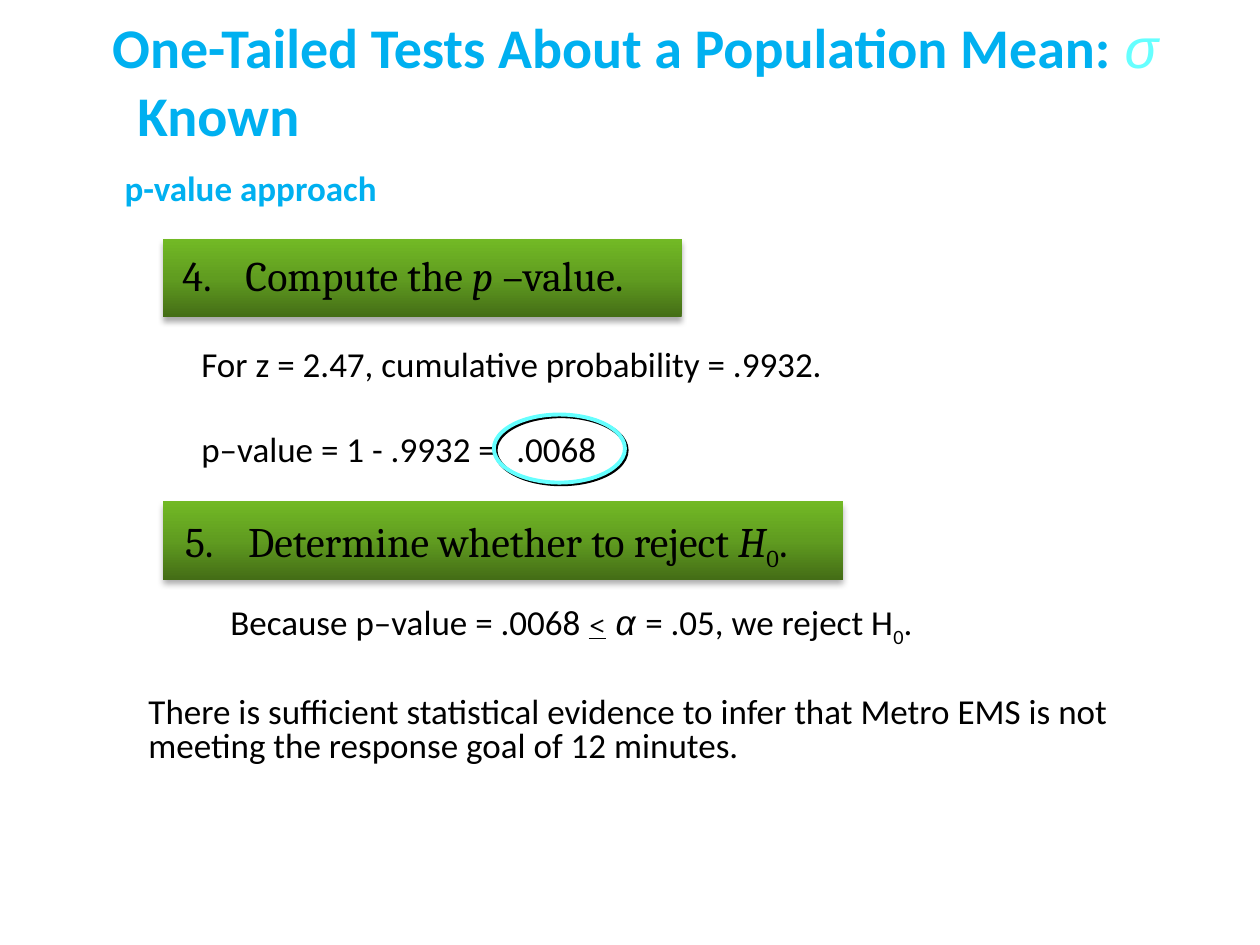
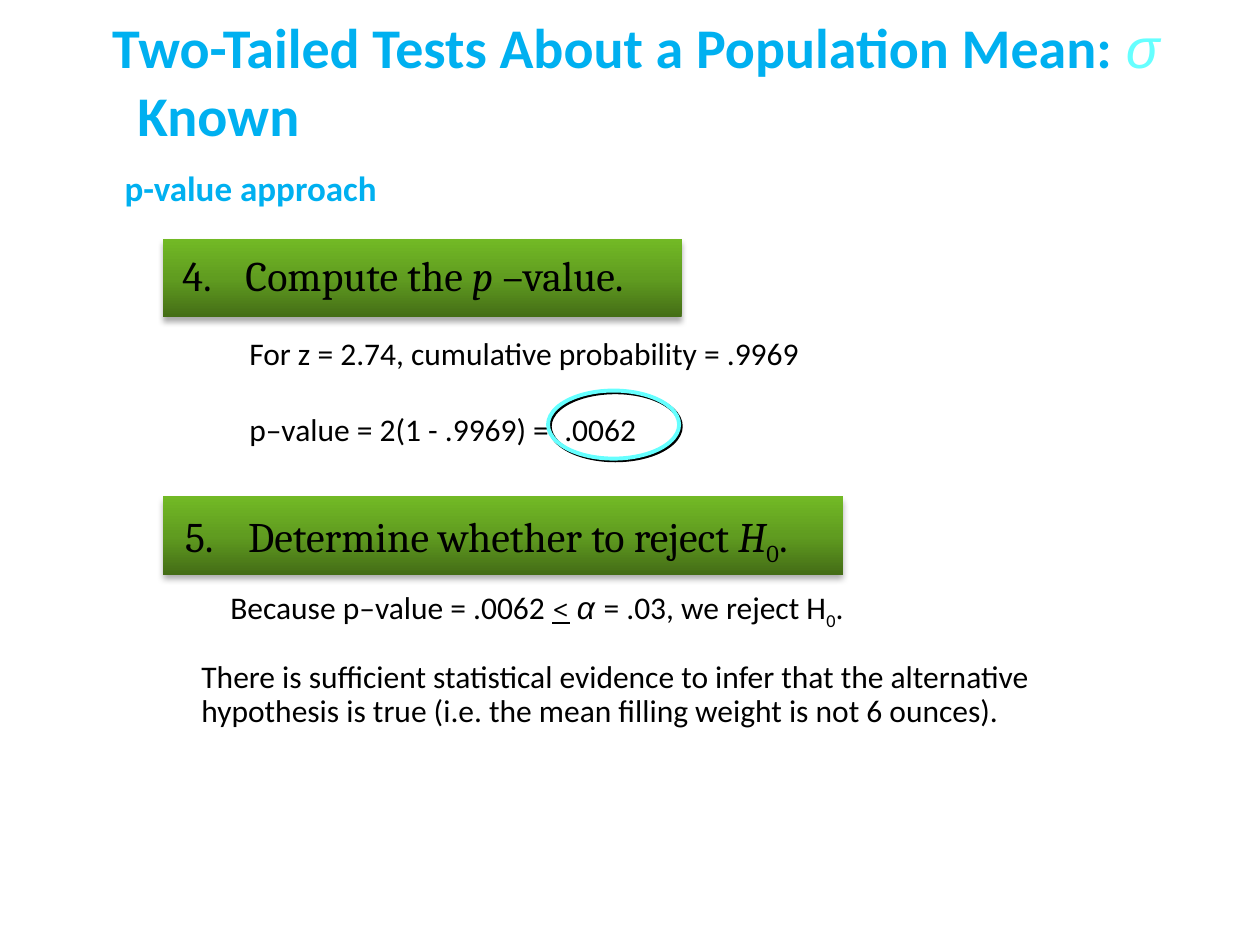
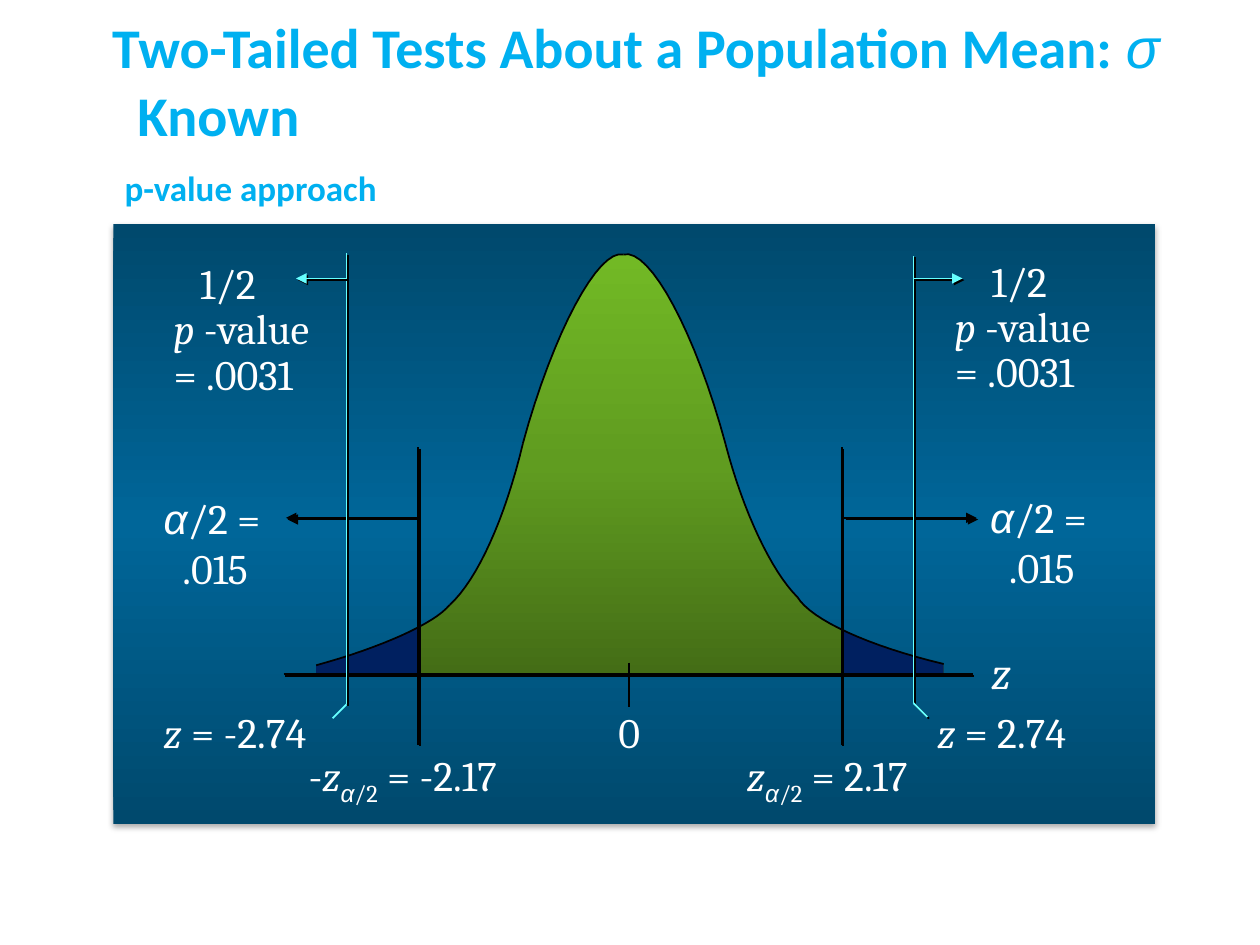
import copy
from lxml import etree
from pptx import Presentation
from pptx.dml.color import RGBColor
from pptx.enum.shapes import MSO_CONNECTOR, MSO_SHAPE
from pptx.enum.text import MSO_ANCHOR, MSO_AUTO_SIZE, PP_ALIGN
from pptx.oxml.ns import qn
from pptx.util import Inches, Pt

RECTANGLE, OVAL = MSO_SHAPE.RECTANGLE, MSO_SHAPE.OVAL
STRAIGHT = MSO_CONNECTOR.STRAIGHT
LEFT, MIDDLE = PP_ALIGN.LEFT, MSO_ANCHOR.MIDDLE
NO_AUTOFIT = MSO_AUTO_SIZE.NONE

BLACK, WHITE, NAVY = "000000", "FFFFFF", "002060"
BLUE, CYAN = "00B0F0", "66FFFF"
GREEN_FADE = ("446D16", "609C20", "72B925")
BLUE_FADE = ("00496D", "006699", "00496D")
# Shadows: opacity percent, blur, distance, direction in degrees
SOFT = (32, 3.5, 2.2, 90)
HARD = (100, 0, 1.4, 45)
ITALIC, SUB = {"italic": True}, {"sub": True}
GREEK = {"font": "Arial", "italic": True}


def style(item, fill=None, line=None, width=1.0, shadow=None, arrow=False):
    """Set fill, line, arrowhead and shadow of a shape or connector, or a run's shadow."""
    effects = etree.Element(qn("a:effectLst"))
    if hasattr(item, "line"):
        properties = item._element.spPr
        if isinstance(fill, tuple):
            item.fill.gradient()
            item.fill.gradient_angle = 90
            stops = next(properties.iter(qn("a:gsLst")))
            stops.insert(1, copy.deepcopy(stops[0]))
            for index, stop in enumerate(item.fill.gradient_stops):
                stop.color.rgb = RGBColor.from_string(fill[index])
                stop.position = index / 2
        elif fill:
            item.fill.solid()
            item.fill.fore_color.rgb = RGBColor.from_string(fill)
        elif hasattr(item, "fill"):
            item.fill.background()
        if line:
            item.line.color.rgb = RGBColor.from_string(line)
            item.line.width = Pt(width)
        else:
            item.line.fill.background()
        if arrow:
            etree.SubElement(properties.find(qn("a:ln")), qn("a:tailEnd"), type="triangle")
        properties.append(effects)
    else:
        item._r.get_or_add_rPr().find(qn("a:solidFill")).addnext(effects)
    if shadow:
        opacity, blur, distance, direction = shadow
        outer = etree.SubElement(
            effects, qn("a:outerShdw"), blurRad=str(Pt(blur)), dist=str(Pt(distance)),
            dir=str(direction * 60000), algn="ctr", rotWithShape="0")
        color = etree.SubElement(outer, qn("a:srgbClr"), val=BLACK)
        etree.SubElement(color, qn("a:alpha"), val=str(opacity * 1000))


def write(box, runs, size=24, font="Cambria", color=BLACK, bold=False, shadow=None,
          before=0, spacing=None, indent=0, tab=None):
    """Add one paragraph; each run is a text or a (text, format changes) pair."""
    frame = box.text_frame
    frame.word_wrap = True
    frame.auto_size = NO_AUTOFIT
    para = frame.paragraphs[0]
    if para.runs:
        para = frame.add_paragraph()
    para.alignment = LEFT
    para.space_before = Pt(before)
    if spacing:
        para.line_spacing = spacing
    settings = para._p.get_or_add_pPr()
    settings.set("marL", str(Inches(indent)))
    settings.set("indent", "0")
    if tab:
        tabs = etree.SubElement(settings, qn("a:tabLst"))
        etree.SubElement(tabs, qn("a:tab"), pos=str(Inches(tab)), algn="l")
    for run in runs:
        text, changes = (run, {}) if isinstance(run, str) else run
        span = para.add_run()
        span.text = text
        span.font.size = Pt(changes.get("size", size))
        span.font.name = changes.get("font", font)
        span.font.bold = changes.get("bold", bold)
        span.font.italic = changes.get("italic", False)
        span.font.underline = changes.get("underline", False)
        span.font.color.rgb = RGBColor.from_string(changes.get("color", color))
        if changes.get("sub"):
            span._r.get_or_add_rPr().set("baseline", "-25000")
        if shadow:
            style(span, shadow=shadow)


deck = Presentation()
deck.slide_width, deck.slide_height = Inches(10), Inches(7.5)

# Title and subtitle of every slide
pages = []
for tails, sigma_color, subtitle_shadow in (
        ("One", CYAN, HARD), ("Two", CYAN, HARD), ("Two", BLUE, None)):
    page = deck.slides.add_slide(deck.slide_layouts[5])
    pages.append(page)
    title = page.shapes.title
    title.left, title.top = Inches(0.79), Inches(0.19)
    title.width, title.height = Inches(9.24), Inches(0.89)
    title.text_frame.vertical_anchor = MIDDLE
    heading = {"size": 32, "font": "Calibri", "color": BLUE, "bold": True}
    sigma = ("σ", {**GREEK, "bold": False, "color": sigma_color})
    write(title, [f"{tails}-Tailed Tests About a Population Mean: ", sigma], **heading)
    write(title, ["Known"], indent=0.2, **heading)
    subtitle = page.shapes.add_textbox(Inches(0.89), Inches(1.27), Inches(5.93), Inches(0.62))
    write(subtitle, ["p-value approach"], size=20, font="Calibri", color=BLUE, bold=True,
          shadow=subtitle_shadow)

# Slides 1 and 2: steps 4 and 5
steps = [
    {"size": 20, "bar_top": 3.98, "z": "For z = 2.47, cumulative probability = .9932.",
     "sum": "p–value = 1 - .9932 =\t.0068", "tab": 2.46, "sum_at": (1.5, 2.67, 5.27, 1.11),
     "ring": (3.92, 3.29), "p": ".0068", "alpha": ".05", "gap_size": 24,
     "because_at": (1.73, 4.66, 5.76, 0.5), "end_at": (1.08, 5.49, 8.02, 0.61), "spacing": 0.8,
     "end": "There is sufficient statistical evidence to infer that Metro EMS is not "
            "meeting the response goal of 12 minutes."},
    {"size": 18, "bar_top": 3.94, "z": "For z = 2.74, cumulative probability = .9969",
     "sum": "p–value = 2(1 - .9969) =\t.0062", "tab": 2.48, "sum_at": (1.88, 2.6, 4.62, 1.01),
     "ring": (4.35, 3.1), "p": ".0062", "alpha": ".03", "gap_size": 18,
     "because_at": (1.73, 4.62, 5.17, 0.4), "end_at": (1.5, 5.2, 7.38, 1.43), "spacing": 0.9,
     "end": "There is sufficient statistical evidence to infer that the alternative "
            "hypothesis is true (i.e. the mean filling weight is not 6 ounces)."},
]
for page, step in zip(pages, steps):
    bars = (
        (step["bar_top"], 5.4, 0.08, 0.06,
         ["5.\tDetermine whether to reject ", ("H", ITALIC), ("0", SUB), "."]),
        (1.9, 4.12, 0.06, 0.03, ["4.\tCompute the ", ("p", ITALIC), " –value."]),
    )
    for top, width, shift, drop, runs in bars:
        bar = page.shapes.add_shape(
            RECTANGLE, Inches(1.29), Inches(top), Inches(width), Inches(0.62))
        style(bar, fill=GREEN_FADE, shadow=SOFT)
        label = page.shapes.add_textbox(
            Inches(1.29 + shift), Inches(top + drop), Inches(width - 0.12), Inches(0.5))
        write(label, runs, tab=0.37)

    body = {"size": step["size"], "font": "Calibri"}
    calculation = page.shapes.add_textbox(*map(Inches, step["sum_at"]))
    write(calculation, [step["z"]], **body)
    write(calculation, [step["sum"]], before=step["size"] * 1.22, tab=step["tab"], **body)
    ring = page.shapes.add_shape(OVAL, *map(Inches, step["ring"]), Inches(1.04), Inches(0.54))
    style(ring, line=CYAN, width=2.25, shadow=HARD)

    because = page.shapes.add_textbox(*map(Inches, step["because_at"]))
    write(because, [
        f"Because p–value = {step['p']} ",
        ("<", {"font": "Cambria", "size": 18, "underline": True}),
        (" ", {"font": "Cambria", "size": step["gap_size"]}),
        ("α ", GREEK), f"= {step['alpha']}, we reject H", ("0", SUB), "."], **body)
    conclusion = page.shapes.add_textbox(*map(Inches, step["end_at"]))
    write(conclusion, [step["end"]], spacing=step["spacing"], **body)

# Slide 3: normal curve with two rejection tails
page = pages[2]
panel = page.shapes.add_shape(RECTANGLE, Inches(0.9), Inches(1.78), Inches(8.27), Inches(4.76))
style(panel, fill=BLUE_FADE, shadow=SOFT)

BASE, LEFT_CUT, RIGHT_CUT = 5.35, 3.32, 6.69
# Bezier curves joined end to end: knot, two handles, knot, ...
knots = [
    (2.51, 5.28), (3.02, 5.14), (3.45, 4.95), (3.57, 4.8), (3.79, 4.6), (4.01, 4.11),
    (4.15, 3.52), (4.39, 2.64), (4.75, 1.97), (4.95, 2.02), (5.16, 1.97), (5.52, 2.64),
    (5.76, 3.53), (5.9, 4.06), (6.12, 4.53), (6.33, 4.74), (6.44, 4.92), (6.9, 5.13),
    (7.49, 5.27),
]
arcs = []
for first in range(0, len(knots) - 1, 3):
    arc = []
    for index in range(17):
        t = index / 16
        weights = ((1 - t) ** 3, 3 * t * (1 - t) ** 2, 3 * t * t * (1 - t), t ** 3)
        arc.append(tuple(
            sum(weight * knot[axis] for weight, knot in zip(weights, knots[first:first + 4]))
            for axis in (0, 1)))
    arcs.append(arc)
curve = [point for arc in arcs for point in arc]
left_tail = [point for point in curve if point[0] < LEFT_CUT] + [(LEFT_CUT, 4.98)]
right_tail = [(RIGHT_CUT, 4.99)] + [point for point in curve if point[0] > RIGHT_CUT]

outlines = [(area + [(area[-1][0], BASE), (area[0][0], BASE)], fill, None)
            for area, fill in ((curve, GREEN_FADE), (left_tail, NAVY), (right_tail, NAVY))]
outlines += [(arc, None, BLACK) for arc in arcs]
for points, fill, line in outlines:
    corners = [(Inches(x), Inches(y)) for x, y in points]
    builder = page.shapes.build_freeform(*corners[0])
    builder.add_line_segments(corners[1:], close=fill is not None)
    style(builder.convert_to_shape(), fill=fill, line=line)

lines = [
    # from, to, colour, shadow, arrow
    ((6.7, 4.11), (7.75, 4.11), BLACK, HARD, True),
    ((3.32, 4.11), (2.27, 4.11), BLACK, HARD, True),
    ((2.25, BASE), (7.72, BASE), BLACK, HARD, False),
    ((4.99, 5.26), (4.99, 5.61), BLACK, None, False),
    ((3.32, 3.55), (3.32, 5.91), BLACK, HARD, False),
    ((6.68, 3.55), (6.68, 5.91), BLACK, HARD, False),
    ((2.75, 2.01), (2.75, 5.59), CYAN, HARD, False),
    ((2.75, 5.59), (2.64, 5.7), CYAN, None, False),
    ((7.25, 2.03), (7.25, 5.58), CYAN, HARD, False),
    ((7.25, 5.58), (7.36, 5.69), CYAN, HARD, False),
    ((7.25, 2.21), (7.64, 2.21), CYAN, HARD, True),
    ((2.75, 2.21), (2.35, 2.21), CYAN, HARD, True),
]
for start, end, color, shadow, arrow in lines:
    connector = page.shapes.add_connector(STRAIGHT, *map(Inches, start + end))
    style(connector, line=color, shadow=shadow, arrow=arrow)

z = ("z", ITALIC)
alpha_half = [("α", {**GREEK, **SUB}), ("/2", SUB)]
labels = [
    ((4.81, 5.56, 0.37, 0.5), ["0"]),
    ((5.83, 5.9, 1.7, 0.5), [z, *alpha_half, " = 2.17"]),
    ((2.35, 5.9, 1.92, 0.5), ["-", z, *alpha_half, " = -2.17"]),
    ((7.77, 5.06, 0.36, 0.54), [("z", {"italic": True, "size": 26})]),
    ((7.34, 5.56, 1.31, 0.5), [z, " = 2.74"]),
    ((1.2, 5.56, 1.42, 0.5), [z, " = -2.74"]),
]
chalk = {"color": WHITE, "shadow": HARD}
for at, runs in labels:
    write(page.shapes.add_textbox(*map(Inches, at)), runs, **chalk)

for left, top in ((7.76, 3.85), (1.2, 3.86)):
    area_label = page.shapes.add_textbox(Inches(left), Inches(top), Inches(1.07), Inches(0.91))
    write(area_label, [("α", GREEK), "/2 ="], **chalk)
    write(area_label, [".015"], indent=0.15, **chalk)

for left, top, indent in ((7.48, 2.02, 0.29), (1.28, 2.04, 0.21)):
    half_label = page.shapes.add_textbox(Inches(left), Inches(top), Inches(1.38), Inches(1.19))
    write(half_label, ["1/2"], indent=indent, spacing=0.9, **chalk)
    write(half_label, [("p ", ITALIC), "-value"], spacing=0.9, **chalk)
    write(half_label, ["= .0031"], spacing=0.9, **chalk)

deck.save("out.pptx")
